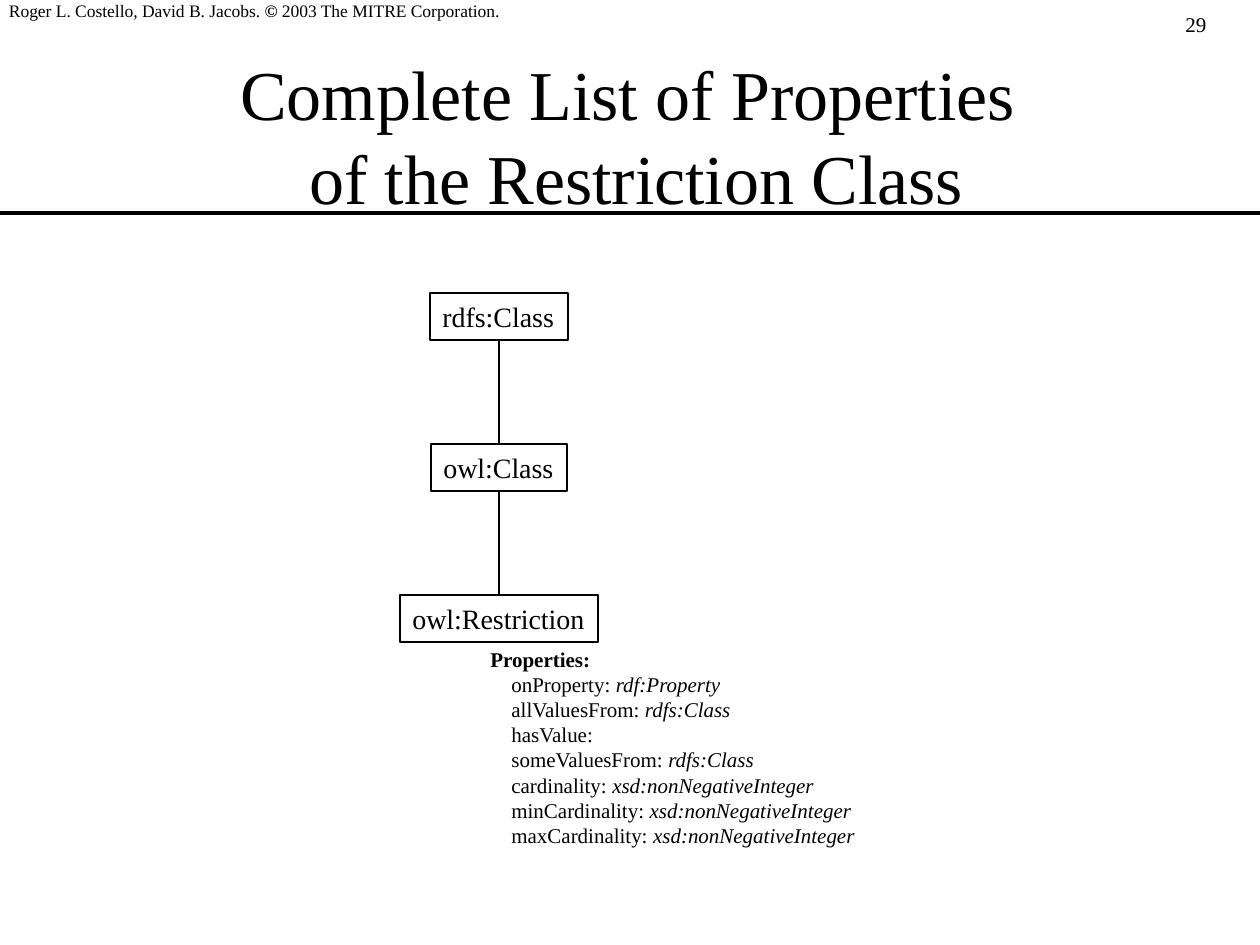
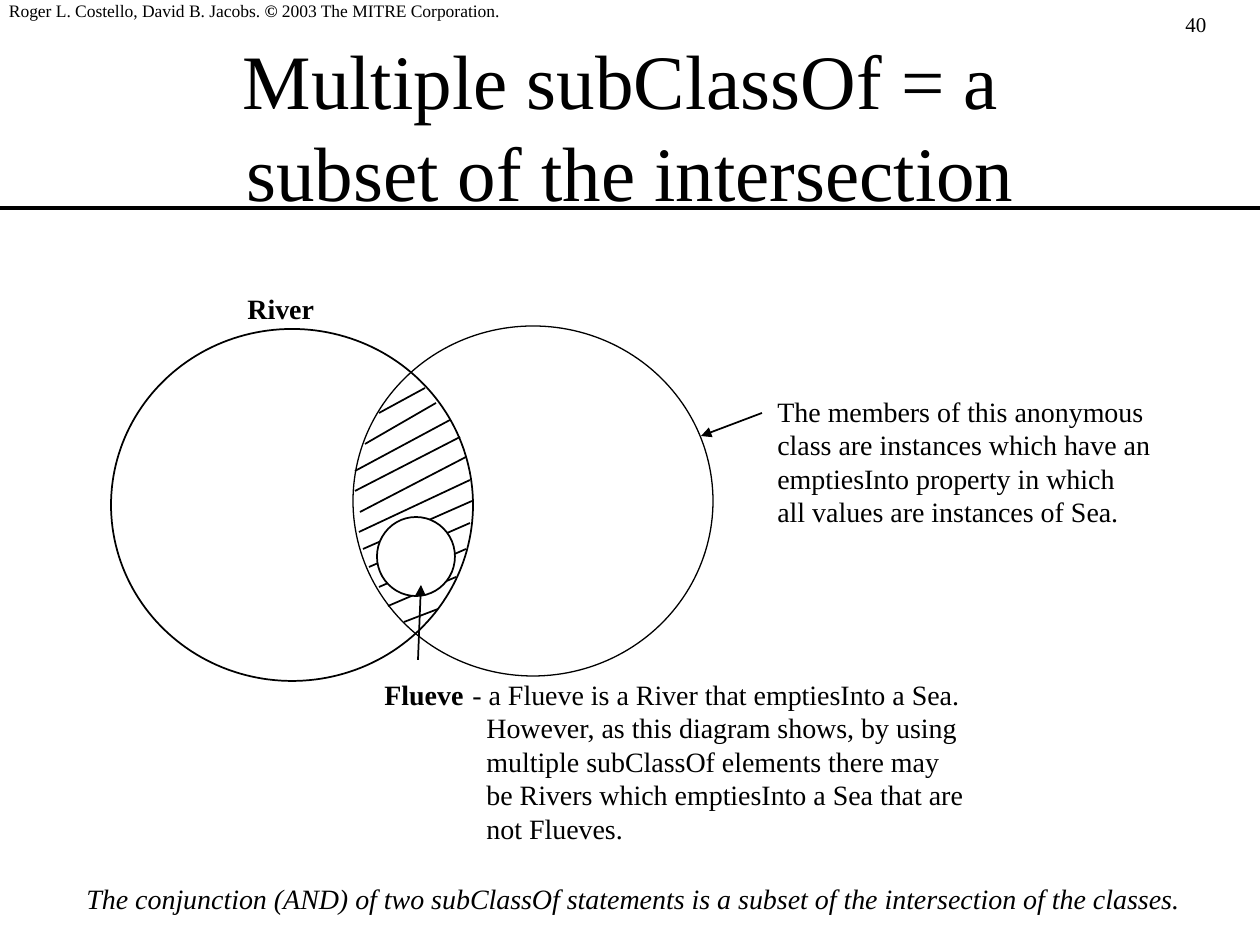
from collections import namedtuple

from pptx import Presentation
from pptx.dml.color import RGBColor
from pptx.enum.shapes import MSO_CONNECTOR as CONN, MSO_SHAPE as SHAPE
from pptx.enum.text import MSO_ANCHOR as ANCHOR, MSO_AUTO_SIZE as AUTO, PP_ALIGN as ALIGN
from pptx.oxml.ns import qn
from pptx.util import Emu, Pt
from lxml.etree import SubElement

PX = 914400 / 126
Theme = namedtuple("Theme", "ink paper font small note body thin line rule")
T = Theme(RGBColor(0, 0, 0), RGBColor(255, 255, 255), "Times New Roman",
          Pt(10), Pt(12), Pt(16), Pt(0.75), Pt(1), Pt(2))
BOLD, ITALIC = {"bold": True}, {"italic": True}
FIXED = {"word_wrap": True, "auto_size": AUTO.NONE}


def write(sp, paras, size, frame={}, para={}, hang=(0, 0)):
    tf = sp.text_frame
    defaults = {"word_wrap": False, "auto_size": AUTO.SHAPE_TO_FIT_TEXT,
                "vertical_anchor": ANCHOR.TOP}
    for name, value in {**defaults, **frame}.items():
        setattr(tf, name, value)
    for i, runs in enumerate(paras):
        p = tf.paragraphs[0] if i == 0 else tf.add_paragraph()
        for name, value in {"alignment": ALIGN.LEFT, **para}.items():
            setattr(p, name, value)
        margin = hang[0] if i == 0 else hang[1]
        if margin:
            p._p.get_or_add_pPr().set("marL", str(round(margin * PX)))
            p._p.get_or_add_pPr().set("indent", "0")
        for text, fmt in runs:
            if text == "\n":
                p.add_line_break()
                continue
            r = p.add_run()
            r.text = text
            r.font.color.rgb = T.ink
            for name, value in {"name": T.font, "size": size, **fmt}.items():
                setattr(r.font, name, value)


def connect(s, x1, y1, x2, y2, width=T.line, arrow=False):
    c = s.shapes.add_connector(CONN.STRAIGHT, *[Emu(round(v * PX)) for v in (x1, y1, x2, y2)])
    c.line.color.rgb = T.ink
    c.line.width = width
    if arrow:
        SubElement(c.line._get_or_add_ln(), qn("a:tailEnd"), type="triangle")
    SubElement(c._element.spPr, qn("a:effectLst"))
    return c


prs = Presentation()
prs.slide_width, prs.slide_height = Emu(round(1260 * PX)), Emu(round(945 * PX))

slides = []
for number, first, second, size, left, top, rule_y in [
    ("29", "Complete List of Properties ", "of the Restriction Class", 40, 101, 55, 213),
    ("40", "Multiple subClassOf = a ", "subset of the intersection", 44, 95, 46, 208),
]:
    s = prs.slides.add_slide(prs.slide_layouts[6])
    slides.append(s)
    sp = s.shapes.add_textbox(*[Emu(round(v * PX)) for v in (1173, 5, 80, 38)])
    write(sp, [[(number, {})]], T.note, FIXED)
    sp = s.shapes.add_textbox(*[Emu(round(v * PX)) for v in (0, 0, 530, 22)])
    write(sp, [[("Roger L. Costello, David B. Jacobs. ", {}), ("©", BOLD),
                (" 2003 The MITRE Corporation.", {})]], T.small,
          {**FIXED, "margin_left": Emu(round(9 * PX)), "margin_top": 0, "margin_bottom": 0})
    sp = s.shapes.add_textbox(*[Emu(round(v * PX)) for v in (left, top, 1071, 158)])
    write(sp, [[(first, {}), ("\n", {}), (second, {})]], Pt(size),
          {**FIXED, "vertical_anchor": ANCHOR.MIDDLE}, {"alignment": ALIGN.CENTER})
    connect(s, 0, rule_y, 1260, rule_y, T.rule)

s = slides[0]
center, above = 499, None
for i, (name, width) in enumerate([("rdfs:Class", 138), ("owl:Class", 136),
                                   ("owl:Restriction", 198)]):
    sp = s.shapes.add_shape(SHAPE.RECTANGLE, *[
        Emu(round(v * PX)) for v in (center - width / 2, 293 + 151 * i, width, 47)])
    sp.shadow.inherit = False
    sp.fill.background()
    sp.line.color.rgb = T.ink
    sp.line.width = T.line
    write(sp, [[(name, {})]], T.body, {**FIXED, "margin_right": 0})
    if above is not None:
        c = connect(s, 0, 0, 0, 0)
        c.begin_connect(above, 2)
        c.end_connect(sp, 0)
    above = sp

properties = [
    ("onProperty: ", "rdf:Property"),
    ("allValuesFrom: ", "rdfs:Class"),
    ("hasValue:", ""),
    ("someValuesFrom: ", "rdfs:Class"),
    ("cardinality: ", "xsd:nonNegativeInteger"),
    ("minCardinality: ", "xsd:nonNegativeInteger"),
    ("maxCardinality: ", "xsd:nonNegativeInteger"),
]
sp = s.shapes.add_textbox(*[Emu(round(v * PX)) for v in (478, 640, 396, 214)])
write(sp, [[("Properties:", BOLD)]]
      + [[(name, {})] + ([(kind, ITALIC)] if kind else []) for name, kind in properties],
      T.note, {**FIXED, "margin_right": 0}, hang=(0, 21))

s = slides[1]
hatches = [
    (425, 388, 379, 413), (436, 403, 365, 444), (450, 420, 355, 471),
    (460, 437, 355, 491), (466, 457, 360, 512), (470, 480, 359, 532),
    (472, 501, 363, 549), (470, 523, 369, 567), (466, 549, 379, 587),
    (456, 577, 388, 606), (438, 609, 404, 622),
]
river, sea, flueve = (111, 329, 362, 352), (353, 326, 360, 350), (377, 517, 78, 79)
for box, filled, width in [(river, True, T.line), (sea, False, T.thin), (flueve, True, T.line)]:
    if box == flueve:
        for hatch in hatches:
            connect(s, *hatch)
    sp = s.shapes.add_shape(SHAPE.OVAL, *[Emu(round(v * PX)) for v in box])
    sp.shadow.inherit = False
    if filled:
        sp.fill.solid()
        sp.fill.fore_color.rgb = T.paper
    else:
        sp.fill.background()
    sp.line.color.rgb = T.ink
    sp.line.width = width

for arrow in [(418, 660, 421, 585), (762, 413, 701, 436)]:
    connect(s, *arrow, arrow=True)

for box, lines, fmt, hang in [
    ((235, 285, 92, 47), ["River"], BOLD, (0, 0)),
    ((372, 671, 105, 47), ["Flueve"], BOLD, (0, 0)),
    ((453, 671, 523, 181), [
        "- a Flueve is a River that emptiesInto a Sea.",
        "However, as this diagram shows, by using",
        "multiple subClassOf elements there may",
        "be Rivers which emptiesInto a Sea that are",
        "not Flueves."], {}, (7, 21)),
    ((765, 388, 398, 147), [
        "The members of this anonymous",
        "class are instances which have an",
        "emptiesInto property in which",
        "all values are instances of Sea."], {}, (0, 0)),
    ((74, 875, 1119, 47), [
        "The conjunction (AND) of two subClassOf statements is a subset "
        "of the intersection of the classes."], ITALIC, (0, 0)),
]:
    sp = s.shapes.add_textbox(*[Emu(round(v * PX)) for v in box])
    write(sp, [[(line, fmt)] for line in lines], T.body, hang=hang)

prs.save("out.pptx")
